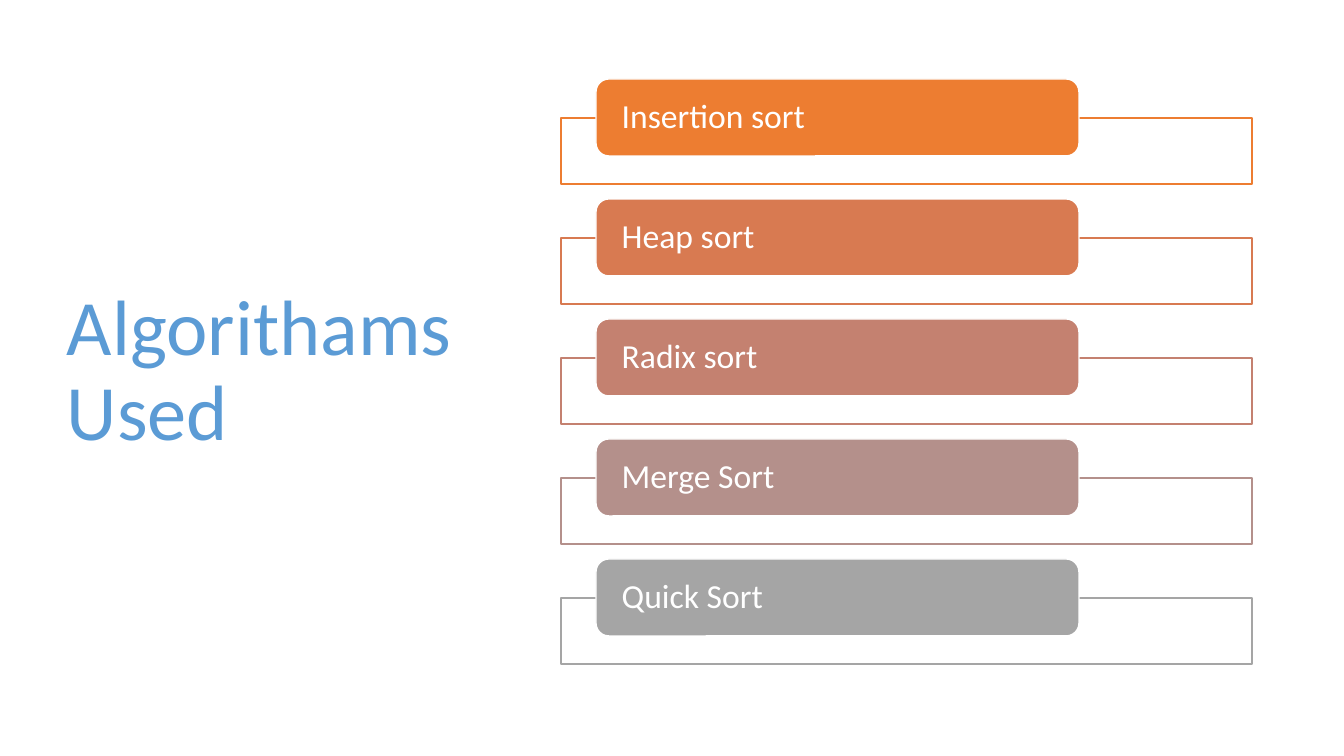
from pptx import Presentation
from pptx import util as u
from pptx.dml.color import RGBColor
from pptx.enum import shapes, text

TITLE = "Algorithams Used"
ALGORITHMS = [
    ("Insertion sort", "ED7D31"),
    ("Heap sort", "D87A51"),
    ("Radix sort", "C48170"),
    ("Merge Sort", "B4908B"),
    ("Quick Sort", "A5A5A5"),
]
WHITE, BLUE = "FFFFFF", "5B9BD5"
TITLE_AREA = (57, 69, 419, 607)
FRAME_AREA = (561, 118, 691, 66)
LABEL_AREA = (596, 79, 483, 77)
ROW_PITCH = 120
TITLE_INSETS = (10, 5, 10, 5)
LABEL_INSETS = (22, 4, 22, 4)
SCALE = 914400 / 100.8


def px(value):
    return u.Emu(round(value * SCALE))


def color(value):
    return RGBColor.from_string(value)


def place(area, row=0):
    left, top, width, height = area
    return [px(value) for value in (left, top + row * ROW_PITCH, width, height)]


def add_panel(slide, kind, area, row, fill, line):
    panel = slide.shapes.add_shape(kind, *place(area, row))
    panel.shadow.inherit = False
    panel.fill.solid()
    panel.fill.fore_color.rgb = color(fill)
    panel.line.color.rgb = color(line)
    panel.line.width = u.Pt(1)
    return panel


def write(box, words, size, ink, insets):
    frame = box.text_frame
    sides = ("margin_left", "margin_top", "margin_right", "margin_bottom")
    settings = dict(zip(sides, map(px, insets)))
    settings.update(word_wrap=True, vertical_anchor=text.MSO_ANCHOR.MIDDLE)
    para = frame.paragraphs[0]
    span = para.add_run()
    span.text = words
    formats = [
        (frame, settings),
        (para, {"alignment": text.PP_ALIGN.LEFT, "line_spacing": 0.9}),
        (span.font, {"name": "Calibri", "size": u.Pt(size)}),
    ]
    for target, values in formats:
        for name, value in values.items():
            setattr(target, name, value)
    span.font.color.rgb = color(ink)


deck = Presentation()
deck.slide_width, deck.slide_height = px(1344), px(756)
page = deck.slides.add_slide(deck.slide_layouts[6])

write(page.shapes.add_textbox(*place(TITLE_AREA)), TITLE, 56, BLUE, TITLE_INSETS)

for row, (algorithm, tint) in enumerate(ALGORITHMS):
    add_panel(page, shapes.MSO_SHAPE.RECTANGLE, FRAME_AREA, row, WHITE, tint)
    label = add_panel(page, shapes.MSO_SHAPE.ROUNDED_RECTANGLE, LABEL_AREA, row, tint, WHITE)
    write(label, algorithm, 24, WHITE, LABEL_INSETS)

deck.save("out.pptx")
